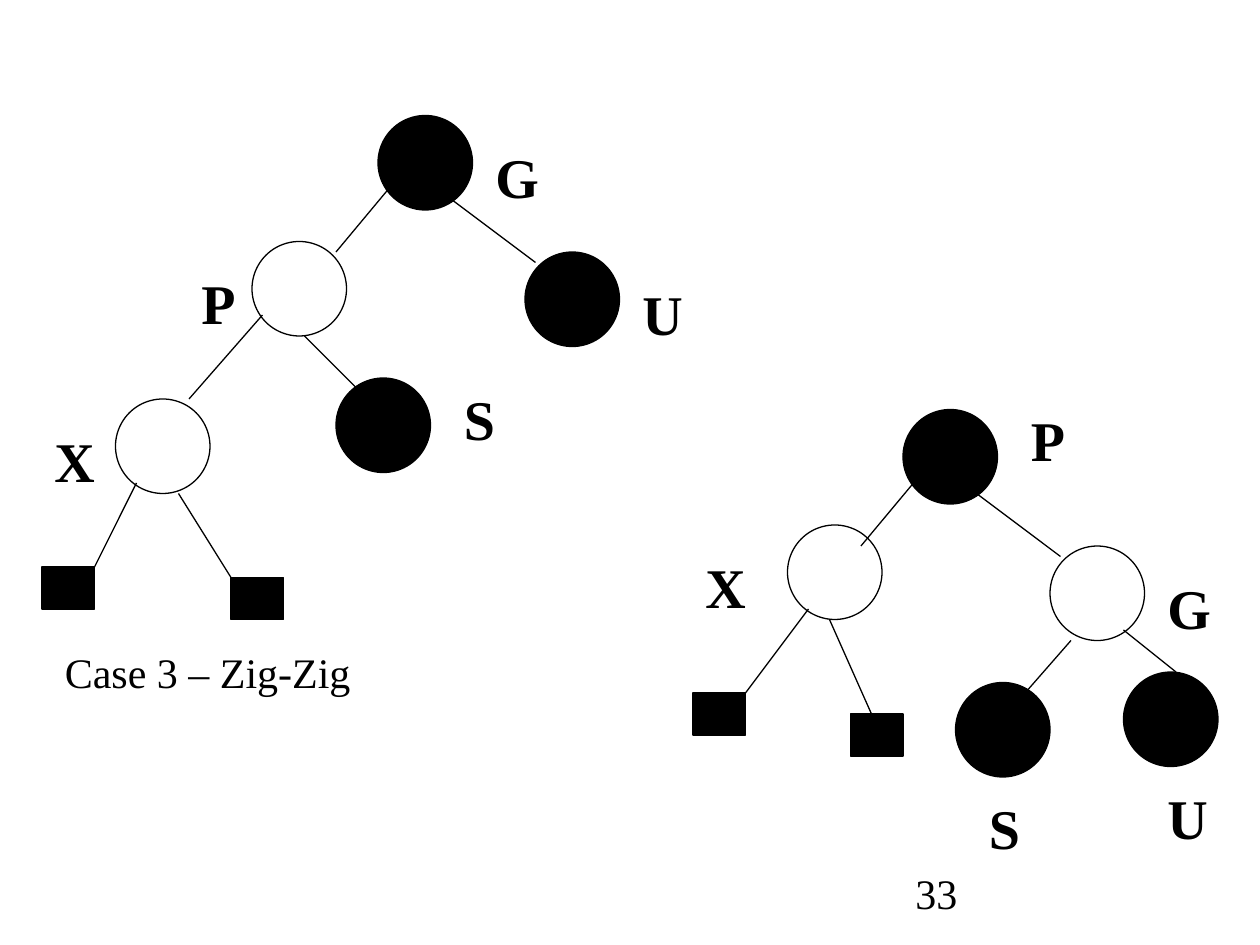
from dataclasses import dataclass
from typing import Any

from lxml.etree import SubElement
from pptx import Presentation
from pptx.dml.color import RGBColor
from pptx.enum.shapes import MSO_CONNECTOR, MSO_SHAPE
from pptx.enum.text import MSO_AUTO_SIZE
from pptx.oxml.ns import qn
from pptx.util import Cm, Pt

# Each node: letter, is black, circle (left, top), label (left, top, width).
# Leaves are (left, top), edges are (x1, y1, x2, y2); all in grid steps.
BEFORE_ROTATION = {
    "nodes": [
        ("G", True, (36, 11), (46, 13, 7)),
        ("P", False, (24, 23), (18, 25, 5)),
        ("U", True, (50, 24), (60, 26, 5)),
        ("S", True, (32, 36), (43, 36, 7)),
        ("X", False, (11, 38), (4, 40, 9)),
    ],
    "leaves": [(4, 54), (22, 55)],
    "edges": [
        (37, 18, 32, 24), (43, 19, 51, 25), (25, 30, 18, 38),
        (29, 32, 34, 37), (13, 46, 9, 54), (17, 47, 22, 55),
    ],
}
AFTER_ROTATION = {
    "nodes": [
        ("P", True, (86, 39), (97, 38, 9)),
        ("X", False, (75, 50), (66, 52, 5)),
        ("G", False, (100, 52), (110, 54, 5)),
        ("U", True, (107, 64), (110, 74, 5)),
        ("S", True, (91, 65), (93, 75, 5)),
    ],
    "leaves": [(66, 66), (81, 68)],
    "edges": [
        (87, 46, 82, 52), (93, 47, 101, 53), (107, 60, 112, 64),
        (102, 61, 95, 69), (77, 58, 71, 66), (79, 59, 83, 68),
    ],
}


def color(hex_string):
    return RGBColor.from_string(hex_string)


def grid(*steps):
    """Turn grid steps, twelve to the inch, into lengths."""
    return [Cm(step * 2.54 / 12) for step in steps]


@dataclass
class TreePainter:
    page: Any
    font: str = "Times New Roman"
    ink: str = "000000"
    paper: str = "FFFFFF"
    line_width: float = 0.75
    node_size: int = 9
    leaf_size: tuple = (5, 4)

    def shape(self, kind, left, top, width, height, fill):
        shape = self.page.shapes.add_shape(kind, *grid(left, top, width, height))
        shape.shadow.inherit = False
        shape.fill.solid()
        shape.fill.fore_color.rgb = color(fill)
        self.outline(shape.line)

    def outline(self, line):
        line.color.rgb = color(self.ink)
        line.width = Pt(self.line_width)

    def node(self, left, top, black):
        fill = self.ink if black else self.paper
        self.shape(MSO_SHAPE.OVAL, left, top, self.node_size, self.node_size, fill)

    def leaf(self, left, top):
        self.shape(MSO_SHAPE.RECTANGLE, left, top, *self.leaf_size, self.ink)

    def edge(self, *ends):
        edge = self.page.shapes.add_connector(MSO_CONNECTOR.STRAIGHT, *grid(*ends))
        self.outline(edge.line)
        SubElement(edge._element.spPr, qn("a:effectLst"))

    def text(self, words, left, top, width, height, size, bold=False,
             before=0, grow=True):
        box = self.page.shapes.add_textbox(*grid(left, top, width, height))
        frame = box.text_frame
        frame.word_wrap = True
        frame.auto_size = MSO_AUTO_SIZE.SHAPE_TO_FIT_TEXT if grow else MSO_AUTO_SIZE.NONE
        frame.text = words
        para = frame.paragraphs[0]
        para.space_before = Pt(before)
        font = para.runs[0].font
        font.name = self.font
        font.size = Pt(size)
        font.bold = bold
        font.color.rgb = color(self.ink)

    def tree(self, nodes, leaves, edges):
        for _, black, place, _ in nodes:
            self.node(*place, black)
        for place in leaves:
            self.leaf(*place)
        for ends in edges:
            self.edge(*ends)
        for letter, _, _, (left, top, width) in nodes:
            self.text(letter, left, top, width, 7.7, 32, bold=True, before=20)


def main():
    deck = Presentation()
    deck.slide_width, deck.slide_height = Cm(25.4), Cm(19.05)
    painter = TreePainter(deck.slides.add_slide(deck.slide_layouts[6]))
    painter.tree(**BEFORE_ROTATION)
    painter.tree(**AFTER_ROTATION)
    painter.text("Case 3 – Zig-Zig", 5, 61, 48, 6, 24, before=15)
    painter.text("33", 86, 82, 25, 6, 24, grow=False)
    deck.save("out.pptx")


if __name__ == "__main__":
    main()
